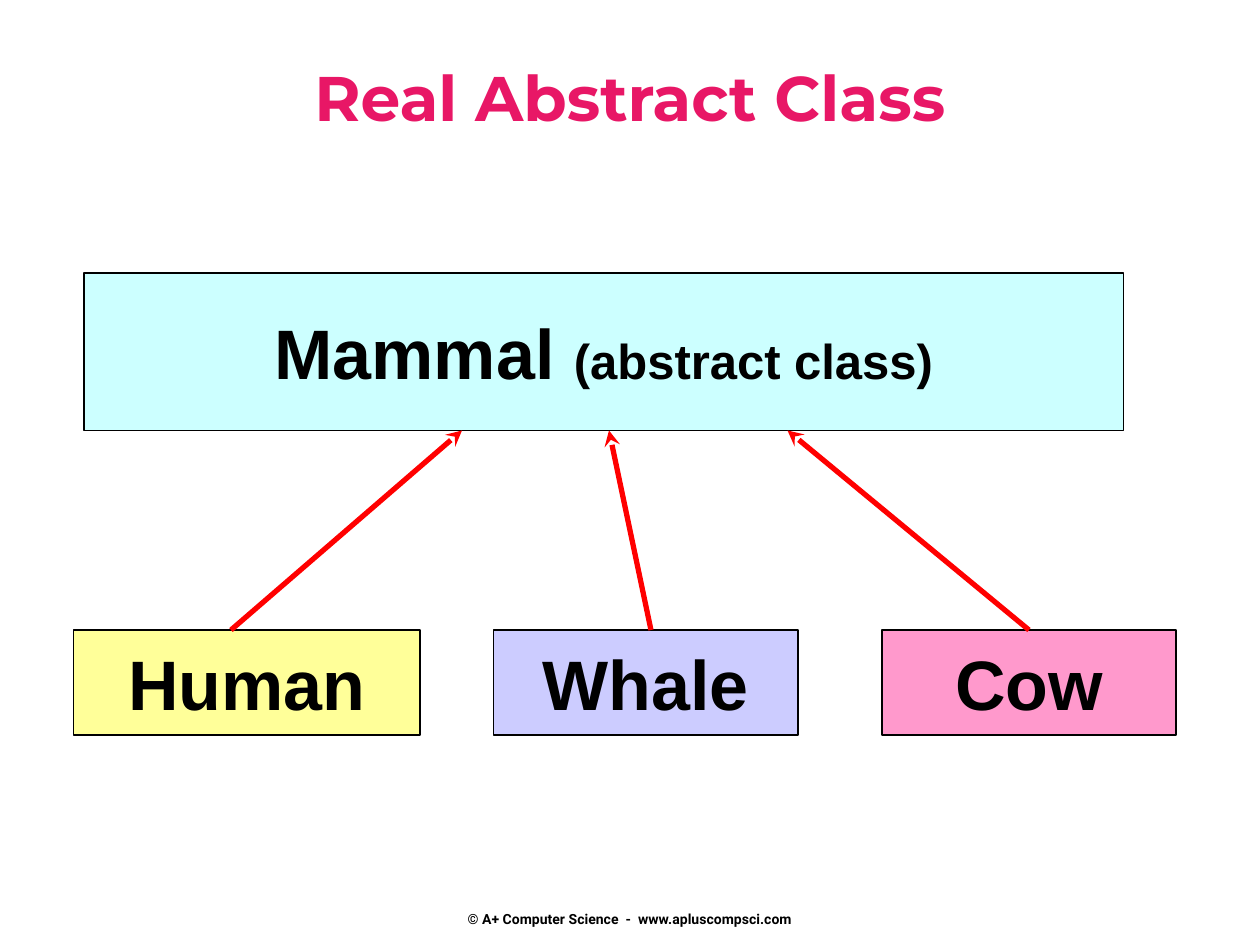
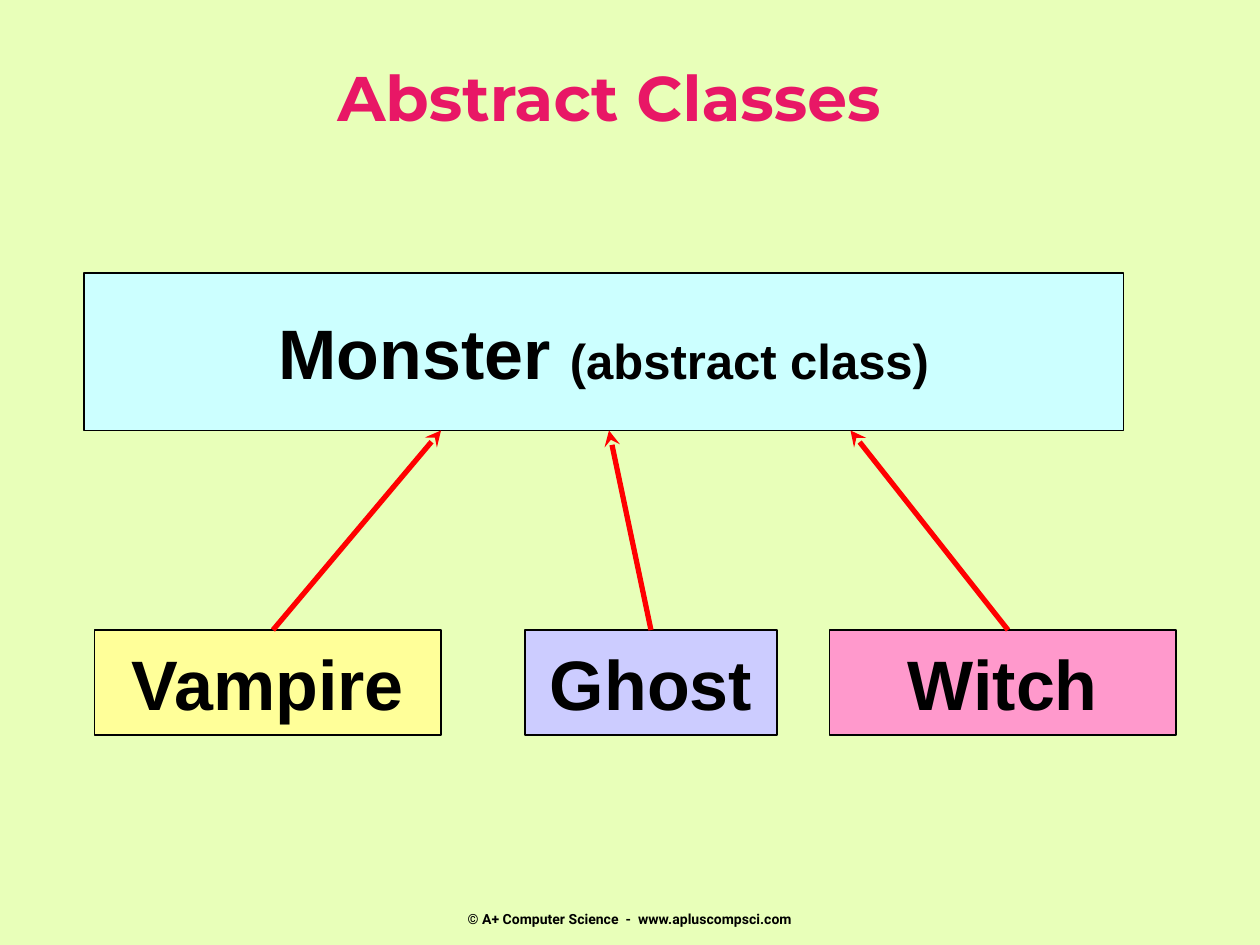
from dataclasses import dataclass

from lxml.etree import SubElement
from pptx import Presentation
from pptx.dml.color import RGBColor
from pptx.enum.shapes import MSO_CONNECTOR as Connector, MSO_SHAPE as Shape
from pptx.enum.text import MSO_ANCHOR as Anchor, PP_ALIGN as Align
from pptx.oxml.ns import qn
from pptx.util import Inches, Pt

COLORS = {
    "title": "E81766",
    "ink": "000000",
    "parent": "CCFFFF",
    "arrow": "FF0000",
    "white": "FFFFFF",
    "lime": "E8FFB9",
}
CHILD_COLORS = ("FFFF99", "CCCCFF", "FF99CC")
COLUMNS, ROWS = 120, 90
CELL = Inches(10) // COLUMNS
PARENT_BOX = (8, 26, 99, 15)
CHILD_TOP, CHILD_HEIGHT = 60, 10
FOOTER_BOX = (41, 85, 38, 5)
FOOTER = "© A+ Computer Science  -  www.apluscompsci.com"


@dataclass
class Subclass:
    """A child box and its arrow, in grid columns."""
    name: str
    left: int
    width: int
    arrow_from: int
    arrow_to: int


def rgb(name):
    return RGBColor.from_string(COLORS.get(name, name))


def on_grid(*cells):
    return [cell * CELL for cell in cells]


def write_line(frame, runs, font_name, color, anchor=Anchor.MIDDLE):
    """Write one centred bold line from (text, size) pairs."""
    frame.word_wrap = True
    frame.vertical_anchor = anchor
    paragraph = frame.paragraphs[0]
    paragraph.alignment = Align.CENTER
    font = paragraph.font
    font.name, font.bold, font.size = font_name, True, Pt(runs[0][1])
    font.color.rgb = rgb(color)
    for text, size in runs:
        run = paragraph.add_run()
        run.text = text
        if size != runs[0][1]:
            run.font.size = Pt(size)


def add_label(slide, box, runs, font_name, color, anchor=Anchor.MIDDLE):
    label = slide.shapes.add_textbox(*on_grid(*box))
    write_line(label.text_frame, runs, font_name, color, anchor)


def add_class_box(slide, box, fill, runs):
    class_box = slide.shapes.add_shape(Shape.RECTANGLE, *on_grid(*box))
    class_box.shadow.inherit = False
    class_box.fill.solid()
    class_box.fill.fore_color.rgb = rgb(fill)
    class_box.line.color.rgb = rgb("ink")
    class_box.line.width = Pt(1)
    write_line(class_box.text_frame, runs, "Arial", "ink")
    return class_box


def add_arrow(slide, start, end):
    arrow = slide.shapes.add_connector(
        Connector.STRAIGHT, *on_grid(*start, *end))
    arrow.line.color.rgb = rgb("arrow")
    arrow.line.width = Pt(3)
    SubElement(arrow.line._get_or_add_ln(), qn("a:tailEnd"), type="stealth")
    SubElement(arrow._element.spPr, qn("a:effectLst"))
    return arrow


def add_hierarchy(slide, parent_name, subclasses, parent_box=PARENT_BOX):
    """Draw the abstract parent, its subclasses and the arrows up to it."""
    add_class_box(slide, parent_box, "parent",
                  [(parent_name + " ", 40), ("(abstract class)", 28)])
    parent_bottom = parent_box[1] + parent_box[3]
    for subclass, fill in zip(subclasses, CHILD_COLORS):
        child_box = add_class_box(
            slide, (subclass.left, CHILD_TOP, subclass.width, CHILD_HEIGHT),
            fill, [(subclass.name, 40)])
        arrow = add_arrow(slide, (subclass.arrow_from, CHILD_TOP),
                          (subclass.arrow_to, parent_bottom))
        if subclass.arrow_from == subclass.left + subclass.width / 2:
            arrow.begin_connect(child_box, 0)


def add_class_slide(deck, background, title, title_box, parent_name, subclasses):
    slide = deck.slides.add_slide(deck.slide_layouts[6])
    slide.background.fill.solid()
    slide.background.fill.fore_color.rgb = rgb(background)
    add_label(slide, FOOTER_BOX, [(FOOTER, 8)], "Roboto", "ink")
    add_label(slide, title_box, [(title, 36)], "Montserrat", "title", Anchor.TOP)
    add_hierarchy(slide, parent_name, subclasses)


def main():
    deck = Presentation()
    deck.slide_width, deck.slide_height = on_grid(COLUMNS, ROWS)
    add_class_slide(deck, "white", "Real Abstract Class", (9, 5, 102, 10), "Mammal", [
        Subclass("Human", 7, 33, 22, 44),
        Subclass("Whale", 47, 29, 62, 58),
        Subclass("Cow", 84, 28, 98, 75),
    ])
    add_class_slide(deck, "lime", "Abstract Classes", (17, 5, 82, 10), "Monster", [
        Subclass("Vampire", 9, 33, 26, 42),
        Subclass("Ghost", 50, 24, 62, 58),
        Subclass("Witch", 79, 33, 96, 81),
    ])
    deck.save("out.pptx")


if __name__ == "__main__":
    main()
